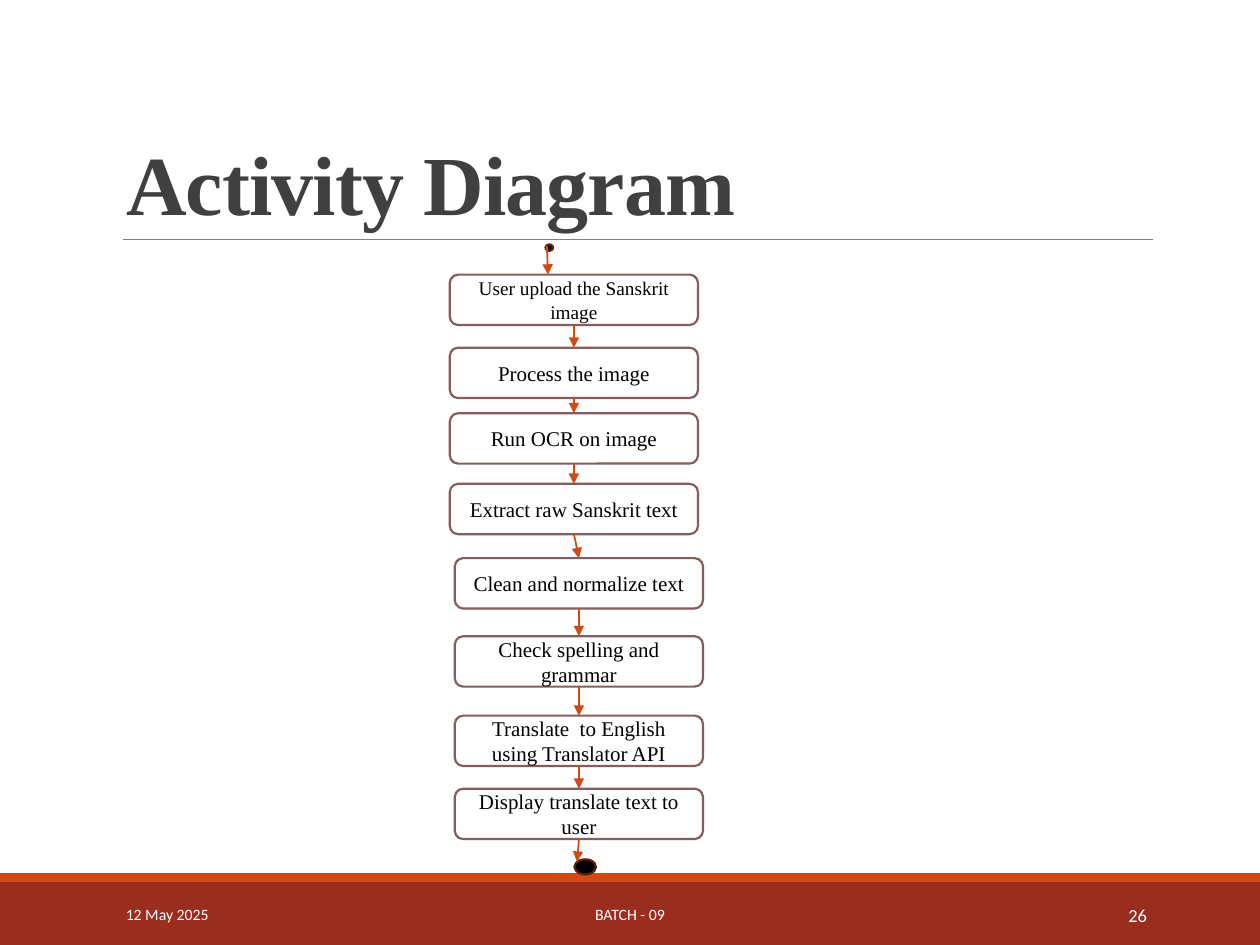
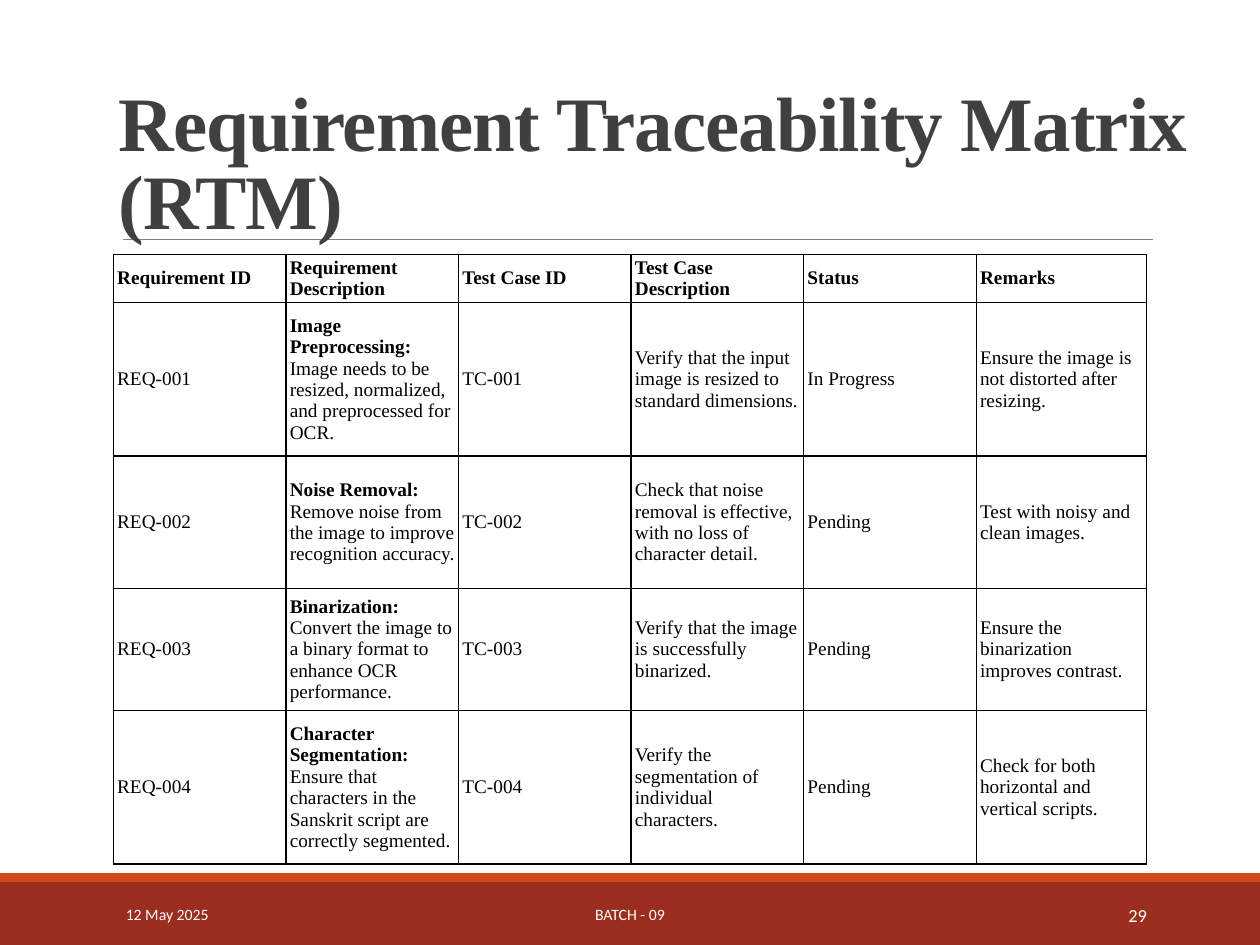
from itertools import pairwise

from lxml.etree import SubElement
from pptx import Presentation
from pptx.dml.color import RGBColor
from pptx.enum.shapes import MSO_CONNECTOR as CONN, MSO_SHAPE as SHAPE
from pptx.enum.text import MSO_ANCHOR as ANCHOR, MSO_AUTO_SIZE as FIT, PP_ALIGN as ALIGN
from pptx.oxml.ns import qn
from pptx.util import Inches, Pt

SERIF, SANS = "Times New Roman", "Calibri"
WHITE, BLACK, DARK, GREY = "FFFFFF", "000000", "404040", "808080"
BRICK, ORANGE, MAUVE, UMBER = "9B2D1F", "D34817", "855D5D", "5C200A"

STEPS = [
    ("User upload the Sanskrit image", 3.57, 2.18, 11),
    ("Process the image", 3.57, 2.76, 12),
    ("Run OCR on image", 3.57, 3.28, 12),
    ("Extract raw Sanskrit text", 3.57, 3.84, 12),
    ("Clean and normalize text", 3.61, 4.43, 12),
    ("Check spelling and grammar", 3.61, 5.05, 12),
    ("Translate  to English using Translator API", 3.61, 5.68, 12),
    ("Display translate text to user", 3.61, 6.26, 12),
]

HEADERS = ["Requirement ID", "Requirement Description", "Test Case ID",
           "Test Case Description", "Status", "Remarks"]
REQUIREMENTS = [
    ("Image Preprocessing:",
     " Image needs to be resized, normalized, and preprocessed for OCR.",
     "Verify that the input image is resized to standard dimensions.",
     "In Progress", "Ensure the image is not distorted after resizing."),
    ("Noise Removal:",
     " Remove noise from the image to improve recognition accuracy.",
     "Check that noise removal is effective, with no loss of character detail.",
     "Pending", "Test with noisy and clean images."),
    ("Binarization:",
     " Convert the image to a binary format to enhance OCR performance.",
     "Verify that the image is successfully binarized.",
     "Pending", "Ensure the binarization improves contrast."),
    ("Character Segmentation:",
     " Ensure that characters in the Sanskrit script are correctly segmented.",
     "Verify the segmentation of individual characters.",
     "Pending", "Check for both horizontal and vertical scripts."),
]
COL_WIDTHS = [1.37] * 5 + [1.35]
ROW_HEIGHTS = [0.38, 1.22, 1.05, 0.97, 1.22]


def rgb(value):
    return RGBColor.from_string(value)


def inches(*values):
    return [Inches(v) for v in values]


class Deck:
    """Holds the presentation style and the slide being built."""

    def __init__(self):
        self.prs = Presentation()
        self.prs.slide_width, self.prs.slide_height = inches(10, 7.5)

    def add_slide(self, title, number, box, size):
        self.slide = self.prs.slides.add_slide(self.prs.slide_layouts[5])
        self.shapes = self.slide.shapes
        self.shape(SHAPE.RECTANGLE, (0, 7, 10, 0.5), BRICK)
        self.shape(SHAPE.RECTANGLE, (0, 6.93, 10, 0.07), ORANGE)
        self.line((0.98, 1.9), (9.15, 1.9), GREY, 0.5)
        self.title(title, box, size)
        self.footer("12 May 2025", 0.9, 2.03, ALIGN.LEFT, 9)
        self.footer("BATCH - 09", 3.02, 3.96, ALIGN.CENTER, 9)
        self.footer(number, 8.12, 1.08, ALIGN.RIGHT, 10.5)

    def run(self, p, text, size, color, font=SERIF, bold=False):
        r = p.add_run()
        r.text = text
        r.font.name, r.font.size, r.font.bold = font, Pt(size), bold
        r.font.color.rgb = rgb(color)
        return r

    def frame(self, sp, align, anchor):
        tf = sp.text_frame
        tf.word_wrap, tf.auto_size = True, FIT.NONE
        tf.vertical_anchor = anchor
        p = tf.paragraphs[0]
        p.alignment = align
        return p

    def title(self, text, box, size):
        sp = self.shapes.title
        sp.left, sp.top, sp.width, sp.height = inches(*box)
        self.shapes._spTree.append(sp._element)
        p = self.frame(sp, ALIGN.LEFT, ANCHOR.BOTTOM)
        p.line_spacing = 0.85
        r = self.run(p, text, size, DARK, bold=True)
        r.font._element.set("spc", "-50")

    def footer(self, text, left, width, align, size):
        sp = self.shapes.add_textbox(*inches(left, 7.06, width, 0.4))
        self.run(self.frame(sp, align, ANCHOR.MIDDLE), text, size, WHITE, SANS)

    def shape(self, kind, box, fill, line=None):
        sp = self.shapes.add_shape(kind, *inches(*box))
        sp.shadow.inherit = False
        sp.fill.solid()
        sp.fill.fore_color.rgb = rgb(fill)
        if line:
            sp.line.color.rgb = rgb(line)
            sp.line.width = Pt(1.25)
        else:
            sp.line.fill.background()
        return sp

    def step(self, text, left, top, size):
        sp = self.shape(SHAPE.ROUNDED_RECTANGLE, (left, top, 1.97, 0.4), WHITE, MAUVE)
        self.run(self.frame(sp, ALIGN.CENTER, ANCHOR.MIDDLE), text, size, BLACK)
        return sp

    def line(self, start, end, color, width):
        cx = self.shapes.add_connector(CONN.STRAIGHT, *inches(*start, *end))
        cx.line.color.rgb = rgb(color)
        cx.line.width = Pt(width)
        SubElement(cx._element.spPr, qn("a:effectLst"))
        return cx

    def arrow(self, start=(0, 0), end=(0, 0), source=None, target=None):
        cx = self.line(start, end, ORANGE, 1)
        if source:
            cx.begin_connect(source, 2)
        if target:
            cx.end_connect(target, 0)
        SubElement(cx.line._get_or_add_ln(), qn("a:tailEnd"), type="triangle")

    def table(self, left, top, widths, heights, rows):
        box = inches(left, top, sum(widths), sum(heights))
        table = self.shapes.add_table(len(heights), len(widths), *box).table
        table.first_row = table.horz_banding = False
        for col, width in zip(table.columns, widths):
            col.width = Inches(width)
        for row, height, values in zip(table.rows, heights, rows):
            row.height = Inches(height)
            for cell, runs in zip(row.cells, values):
                self.cell(cell, runs)

    def cell(self, cell, runs):
        cell.vertical_anchor = ANCHOR.MIDDLE
        cell.margin_left = cell.margin_right = Inches(0.03)
        cell.margin_top = cell.margin_bottom = Inches(0.02)
        tcPr = cell._tc.get_or_add_tcPr()
        for side in ("lnL", "lnR", "lnT", "lnB"):
            ln = SubElement(tcPr, qn(f"a:{side}"), w=str(Pt(1)))
            fill = SubElement(ln, qn("a:solidFill"))
            SubElement(fill, qn("a:srgbClr"), val=BLACK)
        cell.fill.background()
        p = cell.text_frame.paragraphs[0]
        for text, bold in runs:
            self.run(p, text, 11, BLACK, bold=bold)


def activity_slide(deck):
    deck.add_slide("Activity Diagram", "26", (0.9, 0.31, 8.25, 1.59), 48)
    steps = [deck.step(*step) for step in STEPS]
    for dot in ((4.33, 1.94, 0.06, 0.05), (4.56, 6.82, 0.17, 0.12)):
        deck.shape(SHAPE.OVAL, dot, BLACK, UMBER)
    deck.arrow((4.34, 1.95), (4.35, 2.18))
    for source, target in pairwise(steps):
        deck.arrow(source=source, target=target)
    deck.arrow(end=(4.58, 6.84), source=steps[-1])


def matrix_slide(deck):
    deck.add_slide("Requirement Traceability Matrix (RTM)", "29",
                   (0.84, 0.41, 9.02, 1.59), 44)
    rows = [[[(header, True)] for header in HEADERS]]
    for n, (name, detail, check, status, remark) in enumerate(REQUIREMENTS, 1):
        rows.append([
            [(f"REQ-{n:03}", False)],
            [(name, True), (detail, False)],
            [(f"TC-{n:03}", False)],
            *([(text, False)] for text in (check, status, remark)),
        ])
    deck.table(0.9, 2.02, COL_WIDTHS, ROW_HEIGHTS, rows)


def main():
    deck = Deck()
    activity_slide(deck)
    matrix_slide(deck)
    deck.prs.save("out.pptx")


if __name__ == "__main__":
    main()
